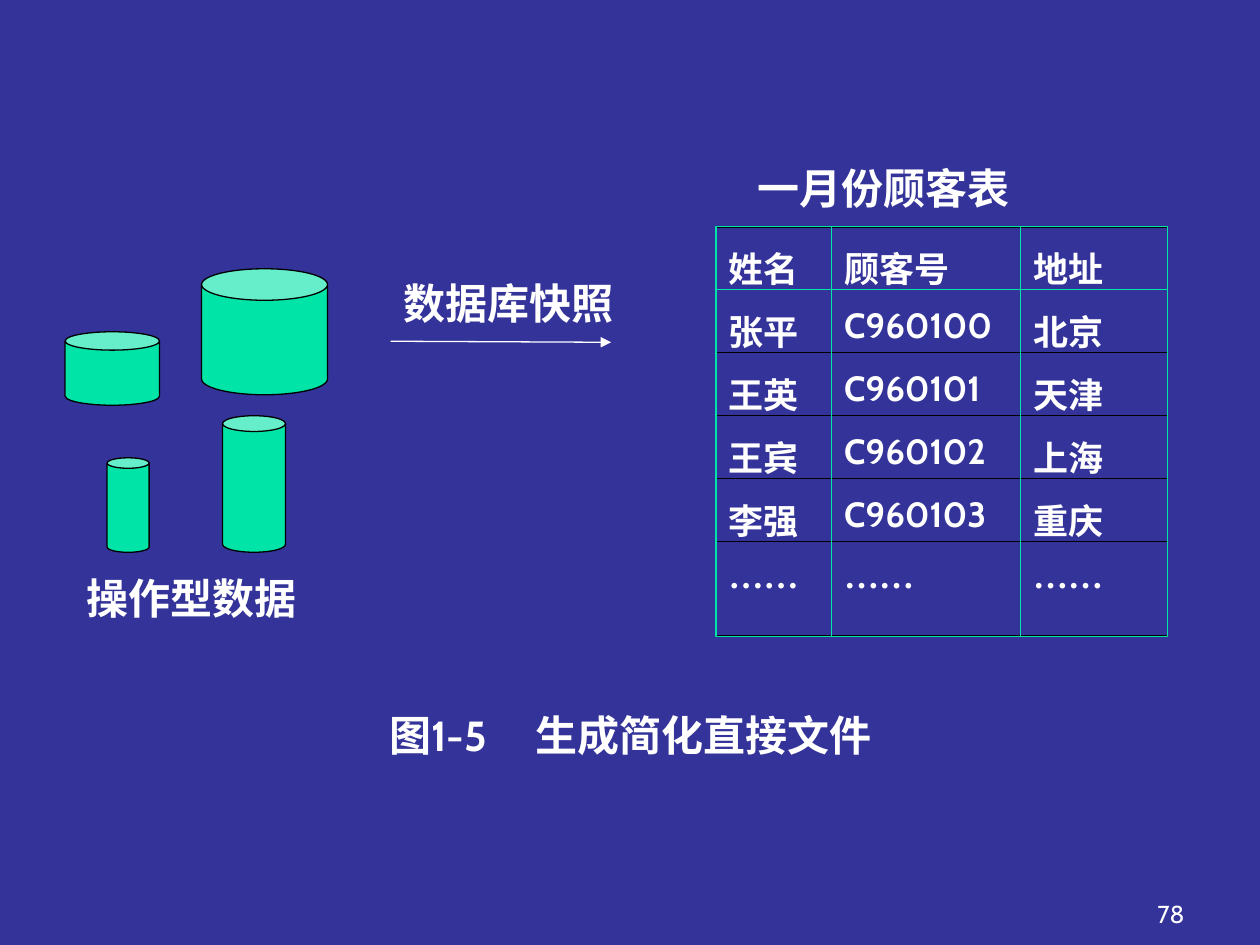
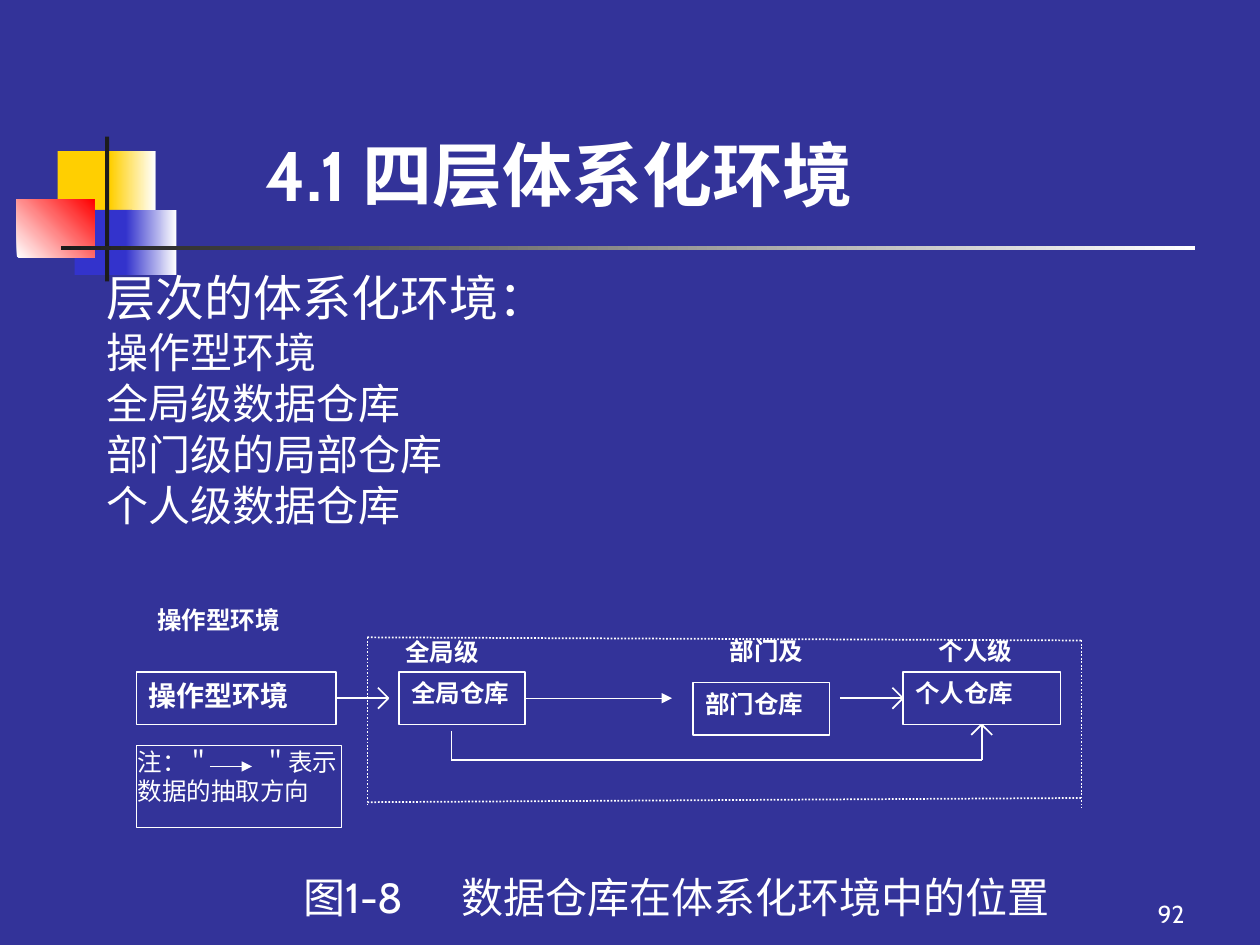
from dataclasses import dataclass
from lxml import etree
from pptx import Presentation
from pptx import util as u
from pptx.dml.color import RGBColor
from pptx.enum import dml, shapes, text
from pptx.oxml import ns

COLS, ROWS = 120, 90
BOX = shapes.MSO_SHAPE.RECTANGLE
CAN = shapes.MSO_SHAPE.CAN
LEFT, BASE, RIGHT = 1, 2, 3


@dataclass(frozen=True)
class Theme:
    """Colours, fonts and type sizes of the deck."""
    back: str = "333399"
    white: str = "FFFFFF"
    black: str = "000000"
    ink: str = "1C1C1C"
    green: str = "00E4A8"
    gold: str = "FFCF01"
    blue: str = "3333CC"
    red: str = "FF0000"
    sans: str = "Cabin"
    serif: str = "Times New Roman"
    title: int = 40
    lead: int = 28
    body: int = 24
    cell: int = 20
    node: int = 16
    small: int = 14
    thin: float = 0.75
    line: float = 1


def rgb(code):
    """Turn a hex code into a colour."""
    return RGBColor.from_string(code)


def add(parent, tag, **attrs):
    """Append a DrawingML element."""
    return etree.SubElement(parent, ns.qn(tag), **attrs)


class Deck:
    """Draws elements on the current slide, on a grid of columns and rows."""

    def __init__(self, theme):
        """Start a deck of 10 by 7.5 inches."""
        self.prs = Presentation()
        self.prs.slide_width, self.prs.slide_height = u.Inches(10), u.Inches(7.5)
        self.theme = theme
        self.slide = None

    def x(self, col):
        """Length of some columns."""
        return round(self.prs.slide_width * col / COLS)

    def y(self, row):
        """Length of some rows."""
        return round(self.prs.slide_height * row / ROWS)

    def area(self, at):
        """Left, top, width and height as lengths."""
        left, top, wide, high = at
        return self.x(left), self.y(top), self.x(wide), self.y(high)

    def page(self, number):
        """Add a slide with its background and page number."""
        self.slide = self.prs.slides.add_slide(self.prs.slide_layouts[6])
        fill = self.slide.background.fill
        fill.solid()
        fill.fore_color.rgb = rgb(self.theme.back)
        frame = self.label((89, 83, 25, 6), number, self.theme.small)
        frame.vertical_anchor = text.MSO_ANCHOR.BOTTOM
        frame.paragraphs[0].alignment = text.PP_ALIGN.RIGHT

    def put(self, para, words, size, bold=False, font=None, tab=None):
        """Add one run to a paragraph, with an optional tab stop."""
        if tab:
            tabs = add(para._p.get_or_add_pPr(), "a:tabLst")
            add(tabs, "a:tab", pos=str(self.x(tab)), algn="l")
        run = para.add_run()
        run.text = words
        run.font.size, run.font.bold = u.Pt(size), bold
        run.font.name = font or self.theme.sans
        run.font.color.rgb = rgb(self.theme.white)

    def label(self, at, words, size, **look):
        """Add a one-paragraph text box."""
        frame = self.slide.shapes.add_textbox(*self.area(at)).text_frame
        frame.word_wrap = True
        self.put(frame.paragraphs[0], words, size, **look)
        return frame

    def lines(self, at, head, items):
        """Add a lead line with plain lines under it."""
        th = self.theme
        frame = self.label(at, head, th.lead, font=th.serif)
        for item in items:
            para = frame.add_paragraph()
            para.space_before = u.Pt(6)
            self.put(para, item, th.body, font=th.serif)
        for para in frame.paragraphs:
            para.line_spacing = 0.8

    def shape(self, at, fill=None, edge=None, kind=BOX, fade=None, angle=0):
        """Add a preset shape with a plain, faded or empty fill."""
        item = self.slide.shapes.add_shape(kind, *self.area(at))
        item.shadow.inherit = False
        if fade:
            item.fill.gradient()
            item.fill.gradient_angle = angle
            for stop, code in zip(item.fill.gradient_stops, (fill, fade)):
                stop.color.rgb = rgb(code)
        elif fill:
            item.fill.solid()
            item.fill.fore_color.rgb = rgb(fill)
        else:
            item.fill.background()
        if edge:
            item.line.color.rgb = rgb(edge)
            item.line.width = u.Pt(self.theme.thin)
        else:
            item.line.fill.background()
        return item

    def node(self, at, words, size, inset=None, **look):
        """Add an outlined box with text at its top left."""
        item = self.shape(at, self.theme.back, self.theme.white)
        frame = item.text_frame
        frame.word_wrap = True
        frame.vertical_anchor = text.MSO_ANCHOR.TOP
        if inset:
            frame.margin_left = frame.margin_right = u.Inches(inset)
            frame.margin_top = frame.margin_bottom = u.Inches(inset)
        frame.paragraphs[0].alignment = text.PP_ALIGN.LEFT
        self.put(frame.paragraphs[0], words, size, **look)
        return item

    def link(self, start, end, width, color=None, tip=False, dots=False,
             begin=None, stop=None):
        """Add a straight line, joined to shapes where given."""
        line = self.slide.shapes.add_connector(
            shapes.MSO_CONNECTOR.STRAIGHT, self.x(start[0]), self.y(start[1]),
            self.x(end[0]), self.y(end[1]))
        line.line.color.rgb = rgb(color or self.theme.white)
        line.line.width = u.Pt(width)
        if dots:
            line.line.dash_style = dml.MSO_LINE.ROUND_DOT
        props = line._element.spPr
        if tip:
            add(props.find(ns.qn("a:ln")), "a:tailEnd", type="triangle")
        add(props, "a:effectLst")
        if begin:
            line.begin_connect(*begin)
        if stop:
            line.end_connect(*stop)

    def barb(self, tip, *ends):
        """Add an open arrowhead from its tip to its ends."""
        for col, row in ends:
            self.link(tip, (tip[0] + col, tip[1] + row), self.theme.line)

    def grid(self, left, top, cols, rows, data):
        """Add a table with a heavier outer border."""
        th = self.theme
        area = self.area((left, top, sum(cols), sum(rows)))
        table = self.slide.shapes.add_table(len(rows), len(cols), *area).table
        table.first_row = table.horz_banding = False
        for col, wide in zip(table.columns, cols):
            col.width = self.x(wide)
        for row, high in zip(table.rows, rows):
            row.height = self.y(high)
        for r, words in enumerate(data):
            last = r == len(data) - 1
            for c, word in enumerate(words):
                cell = table.cell(r, c)
                cell.fill.background()
                cell.margin_top, cell.margin_bottom = u.Inches(0.12), u.Inches(0.02)
                self.put(cell.text_frame.paragraphs[0], word, th.cell,
                         bold=True, font=th.serif if last else th.sans)
                outer = dict(lnL=c == 0, lnR=c == len(cols) - 1, lnT=r == 0, lnB=last)
                self.border(cell, outer)

    def border(self, cell, outer):
        """Draw the four borders of a cell."""
        props = cell._tc.get_or_add_tcPr()
        for i, (side, heavy) in enumerate(outer.items()):
            width = u.Pt(1.08 if heavy else 0.45)
            edge = add(props, "a:" + side, w=str(width))
            add(add(edge, "a:solidFill"), "a:srgbClr", val=self.theme.black)
            props.insert(i, edge)

    def motif(self):
        """Draw the coloured squares and bars beside the title."""
        th = self.theme
        self.shape((5.5, 14.4, 5.8, 6.2), th.gold)
        self.shape((10.5, 14.4, 4.3, 6.2), th.gold, fade=th.white)
        self.shape((7.1, 20, 5.5, 6.2), th.blue)
        self.shape((12, 20, 4.8, 6.2), th.blue, fade=th.white)
        self.shape((1.6, 19, 7.4, 5.5), th.white, fade=th.red, angle=45)
        self.shape((10, 13, 0.4, 13.8), th.ink)
        self.shape((5.8, 23.4, 108, 0.4), th.ink, fade=th.white)


def files(deck):
    """Slide on making simple direct files."""
    th = deck.theme
    deck.page("78")
    for at, words in (((71, 14.9, 27, 6), "一月份顾客表"),
                      ((37.3, 25.8, 23, 6), "数据库快照"),
                      ((7.1, 53.9, 23, 6), "操作型数据")):
        deck.label(at, words, th.body, bold=True)
    deck.label((35.9, 67, 50, 6), "图1-5\t生成简化直接文件", th.body, bold=True, tab=13.9)
    deck.link((37.2, 32.5), (58.2, 32.6), th.thin, tip=True)
    for at in ((10.2, 43.6, 4, 9), (21.2, 39.6, 6, 13),
               (6.2, 31.6, 9, 7), (19.2, 25.6, 12, 12)):
        deck.shape(at, th.green, th.black, CAN)
    names = ("张平", "王英", "王宾", "李强")
    towns = ("北京", "天津", "上海", "重庆")
    data = [("姓名", "顾客号", "地址")]
    data += [(name, f"C{960100 + i}", town)
             for i, (name, town) in enumerate(zip(names, towns))]
    data.append(("……",) * 3)
    left, top, cols, rows = 68.2, 21.6, (11, 18, 14), (6,) * 5 + (9,)
    right, foot = left + sum(cols), top + sum(rows)
    deck.grid(left, top, cols, rows, data)
    deck.shape((left, top, sum(cols), sum(rows)), edge=th.green)
    deck.link((left, top + rows[0]), (right, top + rows[0]), th.thin, th.green)
    for col in (left + cols[0], left + cols[0] + cols[1]):
        deck.link((col, top), (col, foot), th.thin, th.green)


def layers(deck):
    """Slide on the four-layer environment."""
    th = deck.theme
    deck.page("92")
    deck.motif()
    deck.lines((9, 26, 100, 30), "层次的体系化环境：",
               ("操作型环境", "全局级数据仓库", "部门级的局部仓库", "个人级数据仓库"))
    deck.label((24.1, 11.9, 76, 9.2), "4.1 四层体系化环境", th.title, bold=True)
    source = deck.node((13, 64, 19, 5), "操作型环境", th.node, bold=True)
    whole = deck.node((38, 64, 12, 5), "全局仓库", th.small, bold=True)
    deck.node((66, 65, 13, 5), "部门仓库", th.small, bold=True)
    own = deck.node((86, 64, 15, 5), "个人仓库", th.small, bold=True)

    mid = 66.5
    deck.link((32, mid), (37, mid), th.line, begin=(source, RIGHT))
    deck.link((80, mid), (86, mid), th.line, stop=(own, LEFT))
    for col in (37, 86):
        deck.barb((col, mid), (-1, -1), (-1, 1))
    deck.link((50, mid), (64, mid), th.thin, tip=True, begin=(whole, RIGHT))
    low, turn = 72.4, 93.5
    deck.link((43, 69.6), (43, low), th.line)
    deck.link((43, low), (turn, low), th.line)
    deck.link((turn, low), (turn, 69), th.line, stop=(own, BASE))
    deck.barb((turn, 69), (-1, 1), (1, 1))
    for start, end in (((35, 60.7), (35, 76.7)), ((35, 60.7), (103, 61)),
                       ((35, 76.4), (103, 76)), ((103, 61), (103, 77))):
        deck.link(start, end, th.line, dots=True)

    deck.node((13, 71, 19.5, 7.8), "注：＂\t＂表示数据的抽取方向", th.small,
              inset=0.01, font=th.serif, tab=12)
    deck.link((20, 73), (24, 73), th.thin, tip=True)
    for col, row, words in ((13.8, 57, "操作型环境"), (88.2, 60, "个人级"),
                            (68.3, 60, "部门及"), (37.4, 60.1, "全局级")):
        deck.label((col, row, 15, 4), words, th.small, bold=True)
    deck.label((27.7, 82.4, 75, 6), "图1-8\t数据仓库在体系化环境中的位置", th.body, tab=15.1)


def main():
    """Build and save the deck."""
    deck = Deck(Theme())
    files(deck)
    layers(deck)
    deck.prs.save("out.pptx")


if __name__ == "__main__":
    main()
